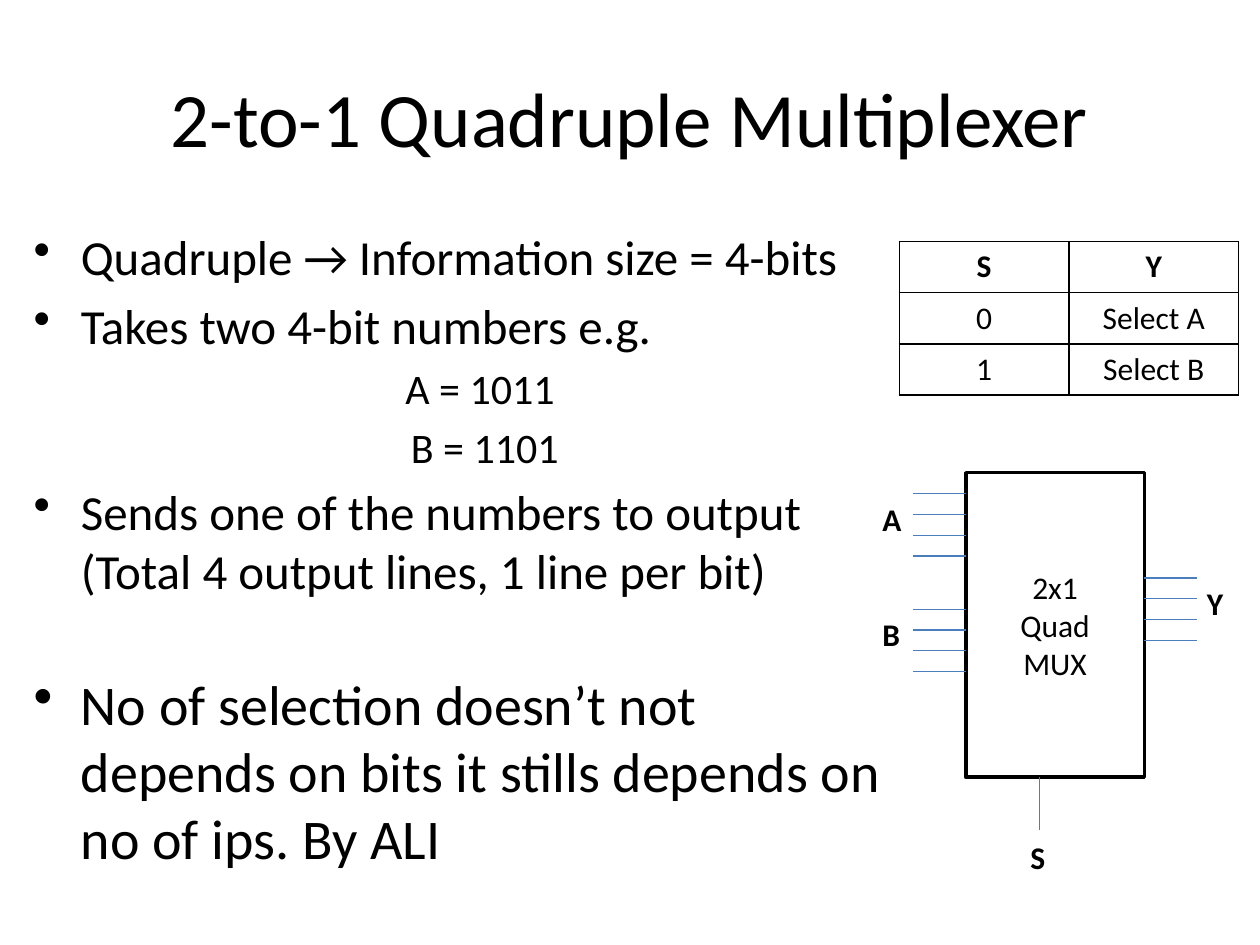
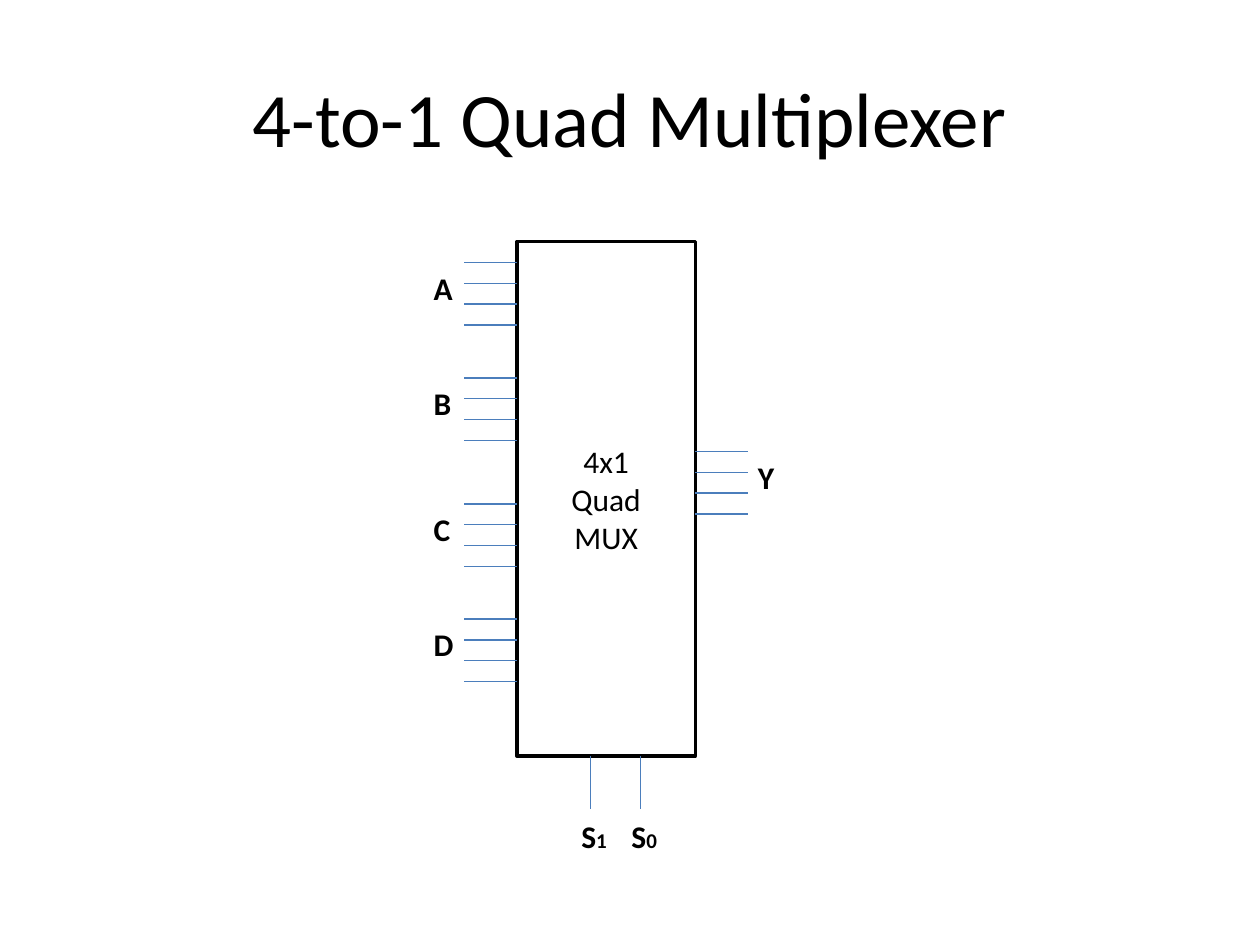
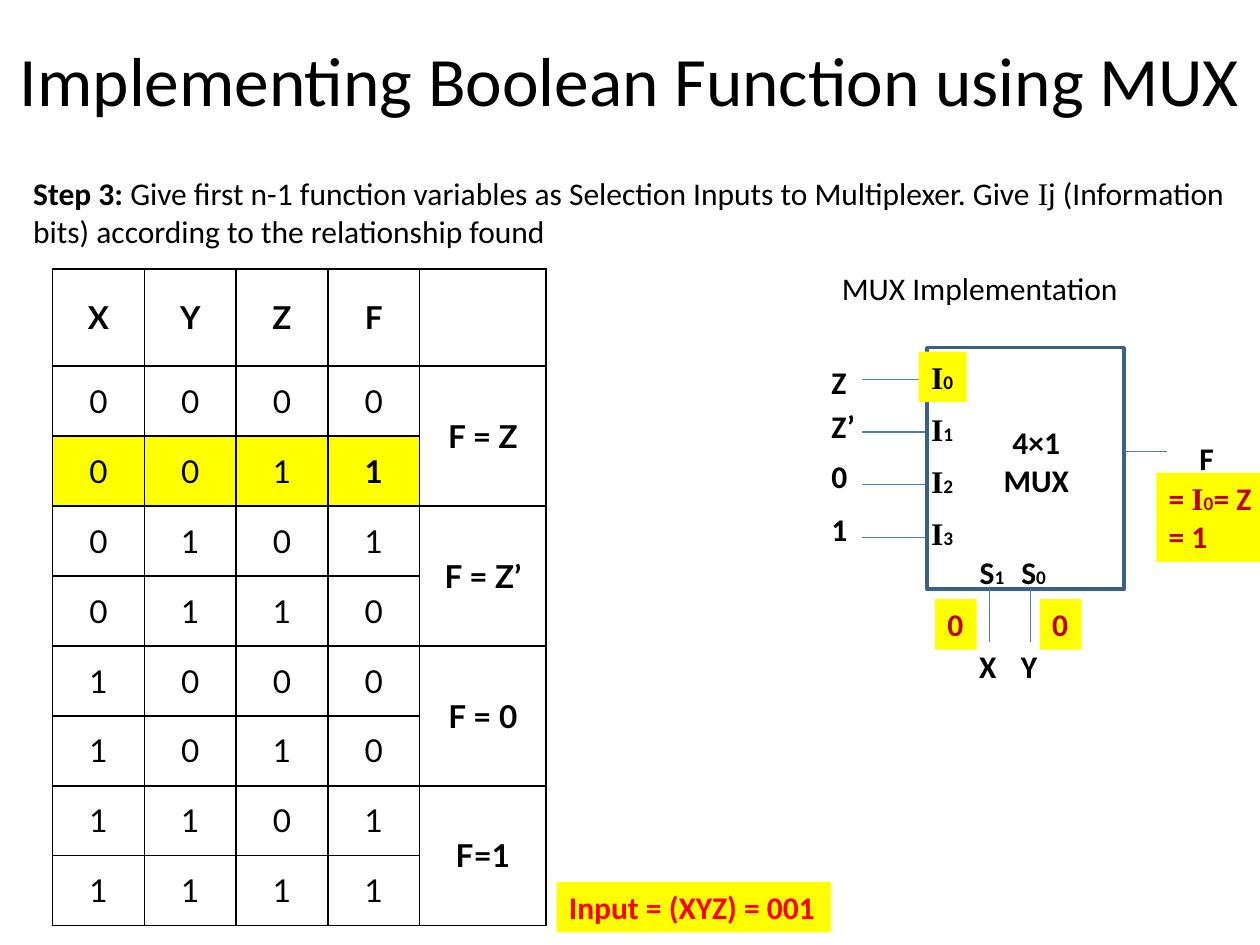
from dataclasses import dataclass
from typing import NamedTuple

from lxml import etree
from pptx import Presentation
from pptx import util as u
from pptx.dml.color import RGBColor
from pptx.enum import shapes, text
from pptx.oxml.ns import qn

BLACK = "000000"
WIRE = "4B7EBC"
BLUE_EDGE = "3A5F8C"
YELLOW = "FFFF00"
RED = "FF0000"
DARK_RED = "C00000"
FONT = "Calibri"
TABLE_FONT = "Lato"
SERIF = "Times New Roman"

LABEL_HEIGHT = 1.02
PIN_LENGTH = 1.06
PIN_PITCH = 0.42
PINS_PER_BUS = 4


class Run(NamedTuple):
    """A piece of text with what differs from its paragraph."""
    text: str
    size: float | None = None
    font: str | None = None
    bold: bool | None = None


Line = str | list[Run]


@dataclass
class Style:
    size: float = 18
    bold: bool = False
    color: str = BLACK
    font: str = FONT
    align: text.PP_ALIGN = text.PP_ALIGN.LEFT


@dataclass
class Label:
    left: float
    top: float
    width: float
    lines: list[Line]
    style: Style
    height: float = LABEL_HEIGHT
    fill: str | None = None
    wrap: bool = False


@dataclass
class Bullet:
    text: str
    size: float = 28
    space_before: float = 5.6
    mark: bool = True


class Bus(NamedTuple):
    """Four parallel wires, measured down from the top of the box."""
    name: str
    offset: float


class Select(NamedTuple):
    """A selection wire, measured from the left of the box."""
    name: Line
    offset: float
    width: float


@dataclass
class Mux:
    left: float
    top: float
    height: float
    lines: list[Line]
    inputs: list[Bus]
    output: Bus
    selects: list[Select]
    width: float = 3.6


PLAIN = Style()
BOLD = Style(bold=True)
CENTERED = Style(align=text.PP_ALIGN.CENTER)
BOLD_CENTERED = Style(bold=True, align=text.PP_ALIGN.CENTER)
ANSWER = Style(bold=True, color=DARK_RED)


def rgb(value: str) -> RGBColor:
    return RGBColor.from_string(value)


def box(left: float, top: float, width: float, height: float) -> list[u.Cm]:
    return [u.Cm(length) for length in (left, top, width, height)]


def indexed(letter: str, index: int, size: float = 11, font: str | None = None) -> list[Run]:
    return [Run(letter, font=font), Run(str(index), size)]


def write_paragraph(paragraph, line: Line, style: Style) -> None:
    paragraph.alignment = style.align
    font = paragraph.font
    font.name, font.size, font.bold = style.font, u.Pt(style.size), style.bold
    font.color.rgb = rgb(style.color)
    for piece in [Run(line)] if isinstance(line, str) else line:
        run = paragraph.add_run()
        run.text = piece.text
        if piece.size is not None:
            run.font.size = u.Pt(piece.size)
        if piece.font is not None:
            run.font.name = piece.font
        if piece.bold is not None:
            run.font.bold = piece.bold


def write_lines(frame, lines: list[Line], style: Style) -> None:
    for index, line in enumerate(lines):
        paragraph = frame.add_paragraph() if index else frame.paragraphs[0]
        write_paragraph(paragraph, line, style)


def add_title_slide(presentation, title: str, size: float = 44,
                    place: tuple[float, ...] = (1.27, 0.76, 22.86, 3.18)):
    slide = presentation.slides.add_slide(presentation.slide_layouts[5])
    shape = slide.shapes.title
    shape.left, shape.top, shape.width, shape.height = box(*place)
    shape.text_frame.vertical_anchor = text.MSO_ANCHOR.MIDDLE
    write_paragraph(shape.text_frame.paragraphs[0], title,
                    Style(size=size, align=text.PP_ALIGN.CENTER))
    return slide


def add_label(slide, label: Label) -> None:
    shape = slide.shapes.add_textbox(*box(label.left, label.top, label.width, label.height))
    frame = shape.text_frame
    frame.word_wrap = label.wrap
    frame.auto_size = text.MSO_AUTO_SIZE.SHAPE_TO_FIT_TEXT
    if label.fill:
        shape.fill.solid()
        shape.fill.fore_color.rgb = rgb(label.fill)
    write_lines(frame, label.lines, label.style)


def add_wire(slide, x1: float, y1: float, x2: float, y2: float) -> None:
    wire = slide.shapes.add_connector(shapes.MSO_CONNECTOR.STRAIGHT, *box(x1, y1, x2, y2))
    wire.line.color.rgb = rgb(WIRE)
    wire.line.width = u.Pt(0.75)
    etree.SubElement(wire._element.spPr, qn("a:effectLst"))


def add_outline(slide, place: tuple[float, ...], color: str, lines: list[Line]) -> None:
    shape = slide.shapes.add_shape(shapes.MSO_SHAPE.RECTANGLE, *box(*place))
    shape.shadow.inherit = False
    shape.fill.background()
    shape.line.color.rgb = rgb(color)
    shape.line.width = u.Pt(2)
    shape.text_frame.vertical_anchor = text.MSO_ANCHOR.MIDDLE
    write_lines(shape.text_frame, lines, CENTERED)


def add_bus(slide, bus: Bus, left: float, top: float, label_left: float) -> None:
    for pin in range(PINS_PER_BUS):
        y = top + pin * PIN_PITCH
        add_wire(slide, left, y, left + PIN_LENGTH, y)
    add_label(slide, Label(label_left, top, 0.87, [bus.name], BOLD))


def add_mux(slide, mux: Mux) -> None:
    right, bottom = mux.left + mux.width, mux.top + mux.height
    add_outline(slide, (mux.left, mux.top, mux.width, mux.height), BLACK, mux.lines)
    for bus in mux.inputs:
        add_bus(slide, bus, mux.left - PIN_LENGTH, mux.top + bus.offset, mux.left - 1.93)
    add_bus(slide, mux.output, right, mux.top + mux.output.offset, right + 1.01)
    for select in mux.selects:
        x = mux.left + select.offset
        add_wire(slide, x, bottom, x, bottom + PIN_LENGTH)
        add_label(slide, Label(x - 0.43, bottom + 1.1, select.width, [select.name], BOLD))


def add_bullets(slide, place: tuple[float, ...], bullets: list[Bullet]) -> None:
    frame = slide.shapes.add_textbox(*box(*place)).text_frame
    frame.word_wrap = True
    for index, bullet in enumerate(bullets):
        paragraph = frame.add_paragraph() if index else frame.paragraphs[0]
        align = text.PP_ALIGN.LEFT if bullet.mark else text.PP_ALIGN.CENTER
        write_paragraph(paragraph, bullet.text, Style(size=bullet.size, align=align))
        paragraph.space_before = u.Pt(bullet.space_before)
        properties = paragraph._p.get_or_add_pPr()
        properties.set("marL", str(u.Cm(0.95 if bullet.mark else 2.06)))
        properties.set("indent", str(u.Cm(-0.95)))
        if bullet.mark:
            mark = etree.Element(qn("a:buChar"), char="•")
            properties.find(qn("a:defRPr")).addprevious(mark)


def style_cell(cell, fill: str | None) -> None:
    """Centre the cell vertically, give it black borders and its fill."""
    cell.vertical_anchor = text.MSO_ANCHOR.MIDDLE
    properties = cell._tc.get_or_add_tcPr()
    for side in ("lnL", "lnR", "lnT", "lnB"):
        border = etree.SubElement(properties, qn(f"a:{side}"), w=str(u.Pt(1)))
        solid = etree.SubElement(border, qn("a:solidFill"))
        etree.SubElement(solid, qn("a:srgbClr"), val=BLACK)
    if fill:
        cell.fill.solid()
        cell.fill.fore_color.rgb = rgb(fill)
    else:
        cell.fill.background()


def add_grid(slide, left: float, top: float, widths: list[float], heights: list[float],
             rows: list[list[str]], font: str = FONT,
             bold_cells: frozenset[tuple[int, int]] = frozenset(),
             marked: frozenset[tuple[int, int]] = frozenset()):
    place = box(left, top, sum(widths), sum(heights))
    table = slide.shapes.add_table(len(rows), len(widths), *place).table
    table.first_row = table.horz_banding = False
    for column, width in zip(table.columns, widths):
        column.width = u.Cm(width)
    for row, height in zip(table.rows, heights):
        row.height = u.Cm(height)
    for r, row in enumerate(rows):
        for c, value in enumerate(row):
            cell = table.cell(r, c)
            style_cell(cell, YELLOW if (r, c) in marked else None)
            if value:
                style = Style(bold=r == 0 or (r, c) in bold_cells, font=font,
                              align=text.PP_ALIGN.CENTER)
                write_paragraph(cell.text_frame.paragraphs[0], value, style)
    return table


def build_two_way_slide(presentation) -> None:
    slide = add_title_slide(presentation, "2-to-1 Quadruple Multiplexer")
    add_bullets(slide, (0.43, 4.45, 17.58, 12.9), [
        Bullet("Quadruple → Information size = 4-bits"),
        Bullet("Takes two 4-bit numbers e.g."),
        Bullet("A = 1011 ", 24, 4.8, mark=False),
        Bullet("B = 1101", 24, 4.8, mark=False),
        Bullet("Sends one of the numbers to output (Total 4 output lines, 1 line per bit)"),
        Bullet("No of selection doesn’t not depends on bits it stills depends on no of ips. By ALI",
               32, 40),
    ])
    add_grid(slide, 18.13, 4.87, [3.42] * 2, [1.03] * 3,
             [["S", "Y"], ["0", "Select A"], ["1", "Select B"]])
    add_mux(slide, Mux(19.47, 9.53, 6.14, ["2x1", "Quad", "MUX"],
                       [Bus("A", 0.42), Bus("B", 2.75)], Bus("Y", 2.12),
                       [Select("S", 1.48, 0.82)]))


def build_four_way_slide(presentation) -> None:
    slide = add_title_slide(presentation, "4-to-1 Quad Multiplexer")
    add_mux(slide, Mux(10.42, 4.87, 10.37, ["4x1", "Quad", "MUX"],
                       [Bus("A", 0.42), Bus("B", 2.75), Bus("C", 5.29), Bus("D", 7.61)],
                       Bus("Y", 4.23),
                       [Select(indexed("S", 1, 12), 1.48, 1.05),
                        Select(indexed("S", 0, 12), 2.49, 1.05)]))


def add_truth_table(slide) -> None:
    outputs = [0, 1, 1, 0, 0, 0, 1, 1]
    relations = ["F = Z", "F = Z’", "F = 0", "F=1"]
    rows = [["X", "Y", "Z", "F", ""]]
    for number, output in enumerate(outputs):
        relation = "" if number % 2 else relations[number // 2]
        rows.append([*f"{number:03b}", str(output), relation])
    relation_rows = range(1, len(rows), 2)
    table = add_grid(slide, 1.06, 5.42, [1.85] * 4 + [2.55], [1.96] + [1.41] * 8, rows,
                     TABLE_FONT,
                     bold_cells=frozenset([(2, 3), *((r, 4) for r in relation_rows)]),
                     marked=frozenset((2, c) for c in range(4)))
    for r in relation_rows:
        table.cell(r, 4).merge(table.cell(r + 1, 4))


def add_function_mux(slide) -> None:
    left, top, width, height = mux = (18.69, 7.01, 3.97, 4.87)
    right, bottom = left + width, top + height
    add_outline(slide, mux, BLUE_EDGE, [])
    add_wire(slide, right, 9.1, right + 0.86, 9.1)
    add_label(slide, Label(19.96, 8.4, 1.86, ["4×1", "MUX"], BOLD_CENTERED, height=1.8))
    for index, (value, value_top) in enumerate(
            [("Z", 7.19), ("Z’", 8.08), ("0", 9.09), ("1", 10.16)]):
        y = 7.65 + PIN_LENGTH * index
        add_wire(slide, 17.38, y, 18.65, y)
        add_label(slide, Label(16.51, value_top, 0.99 if value == "Z’" else 0.83, [value], BOLD))
        add_label(slide, Label(18.52, 7.09 + 1.05 * index, 0.97,
                               [indexed("I", index, font=SERIF)], BOLD,
                               fill=None if index else YELLOW))
    for index, x, variable, bit_left in [(1, 19.94, "X", 18.85), (0, 20.78, "Y", 20.96)]:
        add_wire(slide, x, bottom, x, bottom + PIN_LENGTH)
        add_label(slide, Label(x - 0.44, 11.02, 1.02, [indexed("S", index)], BOLD))
        add_label(slide, Label(x - 0.45, 12.91, 0.85, [variable], BOLD))
        add_label(slide, Label(bit_left, 12.08, 0.84, ["0"], ANSWER, fill=YELLOW))
    add_label(slide, Label(23.93, 8.72, 0.81, ["F"], BOLD))
    result = [Run("= "), *indexed("I", 0, font=SERIF), Run("= Z")]
    add_label(slide, Label(23.31, 9.53, 2.72, [result, "= 1"], ANSWER,
                           height=1.8, fill=YELLOW, wrap=True))


def build_function_slide(presentation) -> None:
    slide = add_title_slide(presentation, "Implementing Boolean Function using MUX",
                            39.6, (0, 0, 25.4, 3.18))
    step = [
        Run("Step 3:", bold=True),
        Run(" Give first n-1 function variables as Selection Inputs to Multiplexer. Give "),
        Run("I", font=SERIF),
        Run("j (Information"),
    ]
    add_label(slide, Label(0.42, 3.39, 24.82,
                           [step, "bits) according to the relationship found"],
                           PLAIN, height=1.8))
    add_truth_table(slide)
    add_label(slide, Label(16.72, 5.29, 6.14, ["MUX Implementation"], PLAIN))
    add_function_mux(slide)
    add_label(slide, Label(11.22, 17.78, 5.53, ["Input = (XYZ) = 001"],
                           Style(bold=True, color=RED), fill=YELLOW))


def main() -> None:
    presentation = Presentation()
    presentation.slide_width, presentation.slide_height = u.Cm(25.4), u.Cm(19.05)
    build_two_way_slide(presentation)
    build_four_way_slide(presentation)
    build_function_slide(presentation)
    presentation.save("out.pptx")


if __name__ == "__main__":
    main()
